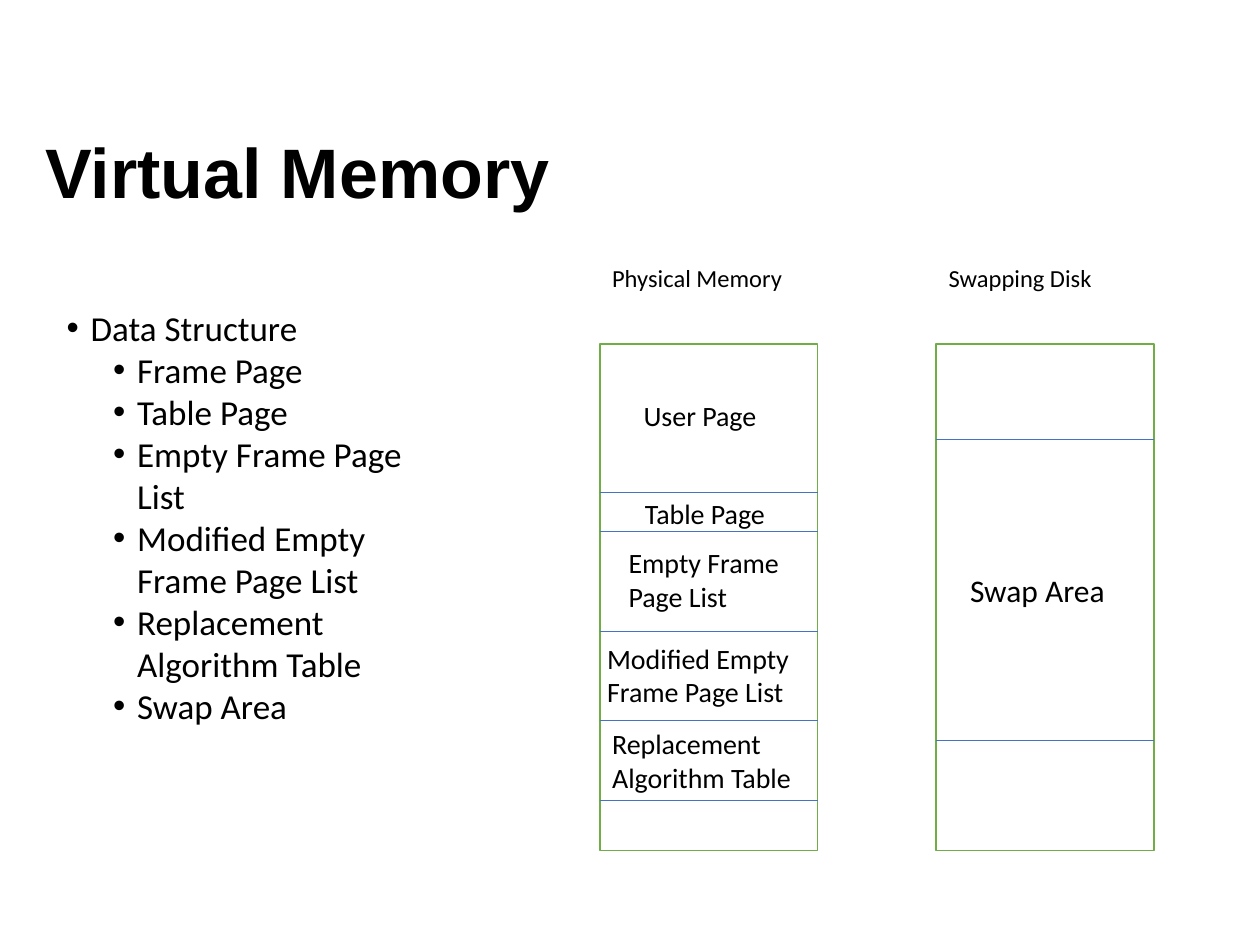
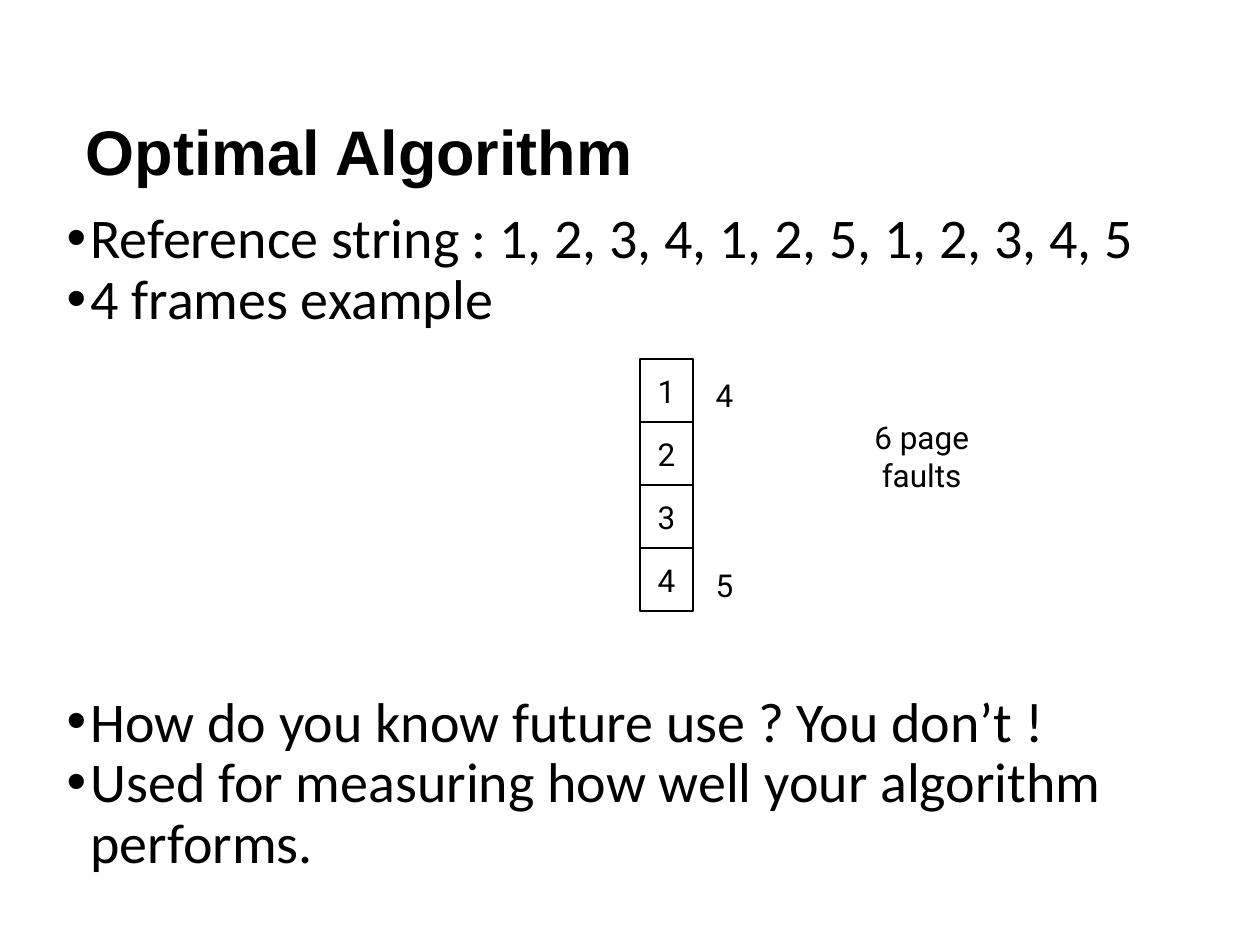
import pptx
import pptx.util
import pptx.dml.color
import pptx.enum.shapes
import pptx.enum.text
import pptx.oxml
import pptx.oxml.ns
import lxml.etree

BLACK, WHITE, GREEN, BLUE = "000000", "FFFFFF", "70AD47", "4472C4"
TITLE_FONT, BODY_FONT, FRAME_FONT = "Arial", "Calibri", "Roboto"
HANGING = pptx.util.Inches(0.19)
LEVEL_INDENTS = [HANGING, pptx.util.Inches(0.56)]
rgb = pptx.dml.color.RGBColor.from_string
qn = pptx.oxml.ns.qn
LEFT, CENTER = pptx.enum.text.PP_ALIGN.LEFT, pptx.enum.text.PP_ALIGN.CENTER
MIDDLE = pptx.enum.text.MSO_ANCHOR.MIDDLE
RECTANGLE = pptx.enum.shapes.MSO_SHAPE.RECTANGLE
STRAIGHT = pptx.enum.shapes.MSO_CONNECTOR.STRAIGHT

deck = pptx.Presentation()
deck.slide_width = pptx.util.Inches(10)
deck.slide_height = pptx.util.Inches(7.5)


def area(left, top, width, height):
    """Turn percentages of the slide's width and height into lengths."""
    across, down = deck.slide_width / 100, deck.slide_height / 100
    return [round(left * across), round(top * down),
            round(width * across), round(height * down)]


def write(paragraph, text, size, font, align=LEFT, bold=False):
    paragraph.alignment = align
    run = paragraph.add_run()
    run.text = text
    run.font.size = pptx.util.Pt(size)
    run.font.name = font
    run.font.bold = bold
    run.font.color.rgb = rgb(BLACK)


# Titles and bullets: each bullet is level, space before in points, text
pages = [
    ("Virtual Memory", 40, (2.6, 10.8, 90, 15.6),
     (4.3, 31.73, 31.5, 64.93), 20, 1.0,
     [(0, 0, "Data Structure"),
      (1, 0, "Frame Page"),
      (1, 0, "Table Page"),
      (1, 0, "Empty Frame Page List"),
      (1, 0, "Modified Empty Frame Page List"),
      (1, 0, "Replacement Algorithm Table"),
      (1, 0, "Swap Area")]),
    ("Optimal Algorithm", 36, (5.8, 12, 91.7, 8.93),
     (4.3, 21.6, 93.1, 75.6), 32, 0.9,
     [(0, 0, "Reference string : 1, 2, 3, 4, 1, 2, 5, 1, 2, 3, 4, 5"),
      (0, 0, "4 frames example"),
      (0, 207, "How do you know future use ? You don’t !"),
      (0, 0, "Used for measuring how well your algorithm performs.")]),
]

for heading, heading_size, heading_area, body_area, body_size, spacing, bullets in pages:
    slide = deck.slides.add_slide(deck.slide_layouts[5])
    title = slide.shapes.title
    title.left, title.top, title.width, title.height = area(*heading_area)
    title.text_frame.auto_size = pptx.enum.text.MSO_AUTO_SIZE.NONE
    title.text_frame.vertical_anchor = MIDDLE
    title.text_frame.paragraphs[0].line_spacing = 0.9
    write(title.text_frame.paragraphs[0], heading, heading_size, TITLE_FONT, bold=True)

    body = slide.shapes.add_textbox(*area(*body_area)).text_frame
    body.word_wrap = True
    for number, (level, space_before, text) in enumerate(bullets):
        paragraph = body.add_paragraph() if number else body.paragraphs[0]
        properties = paragraph._p.get_or_add_pPr()
        properties.set("marL", str(LEVEL_INDENTS[level]))
        properties.set("indent", str(-HANGING))
        lxml.etree.SubElement(properties, qn("a:buFont")).set("typeface", "Arial")
        lxml.etree.SubElement(properties, qn("a:buChar")).set("char", "•")
        paragraph.level = level
        paragraph.line_spacing = spacing
        if space_before:
            paragraph.space_before = pptx.util.Pt(space_before)
        write(paragraph, text, body_size, BODY_FONT)

memory_slide, optimal_slide = deck.slides

# Memory and disk columns with their dividers
COLUMN_TOP, COLUMN_WIDTH, COLUMN_HEIGHT = 36.4, 17.3, 53.6
PHYSICAL_LEFT, DISK_LEFT = 47.6, 74.3
for column_left, dividers in [
    (PHYSICAL_LEFT, [52.13, 56.27, 66.8, 76.27, 84.67]),
    (DISK_LEFT, [46.53, 78.4]),
]:
    column = memory_slide.shapes.add_shape(
        RECTANGLE, *area(column_left, COLUMN_TOP, COLUMN_WIDTH, COLUMN_HEIGHT))
    column.shadow.inherit = False
    column.fill.solid()
    column.fill.fore_color.rgb = rgb(WHITE)
    column.line.color.rgb = rgb(GREEN)
    column.line.width = pptx.util.Pt(1)
    for height in dividers:
        left, top, width, _ = area(column_left, height, COLUMN_WIDTH, 0)
        divider = memory_slide.shapes.add_connector(STRAIGHT, left, top, left + width, top)
        divider.line.color.rgb = rgb(BLUE)
        divider.line.width = pptx.util.Pt(0.5)
        lxml.etree.SubElement(divider._element.spPr, qn("a:effectLst"))

for text, size, label_area in [
    ("Physical Memory", 14, (PHYSICAL_LEFT, 27.2, 17, 4.53)),
    ("Swapping Disk", 14, (DISK_LEFT, 27.2, 15, 4.53)),
    ("User Page", 16, (50.1, 41.47, 12, 4.93)),
    ("Table Page", 16, (50.2, 51.87, 12.8, 4.93)),
    ("Empty Frame Page List", 16, (48.9, 57.07, 16.1, 8.53)),
    ("Modified Empty Frame Page List", 16, (47.2, 67.2, 18.1, 8.53)),
    ("Replacement Algorithm Table", 16, (PHYSICAL_LEFT, 76.27, 18.1, 8.53)),
    ("Swap Area", 18, (76, 59.73, 13.9, 5.33)),
]:
    label = memory_slide.shapes.add_textbox(*area(*label_area)).text_frame
    label.word_wrap = True
    write(label.paragraphs[0], text, size, BODY_FONT)

# Four page frames, stacked without gaps
FRAME_HEIGHT = 20 / 3
for row in range(4):
    page_frame = optimal_slide.shapes.add_shape(
        RECTANGLE, *area(50.8, 38 + row * FRAME_HEIGHT, 4.2, FRAME_HEIGHT))
    page_frame.shadow.inherit = False
    page_frame.fill.solid()
    page_frame.fill.fore_color.rgb = rgb(WHITE)
    page_frame.line.color.rgb = rgb(BLACK)
    page_frame.line.width = pptx.util.Pt(0.75)
    page_frame.text_frame.word_wrap = False
    page_frame.text_frame.vertical_anchor = MIDDLE
    write(page_frame.text_frame.paragraphs[0], str(row + 1), 18, FRAME_FONT, CENTER)

for text, note_area, inset in [
    ("4", (55.8, 39.07, 3.4, 5.33), 0.05),
    ("5", (55.8, 59.2, 3.4, 5.33), 0.05),
    ("6 page faults", (65, 45.6, 16.3, 5.33), 0.25),
]:
    note = optimal_slide.shapes.add_textbox(*area(*note_area)).text_frame
    note.word_wrap = True
    note.vertical_anchor = MIDDLE
    note.margin_left = note.margin_right = pptx.util.Inches(inset)
    write(note.paragraphs[0], text, 18, FRAME_FONT, CENTER)

deck.save("out.pptx")
